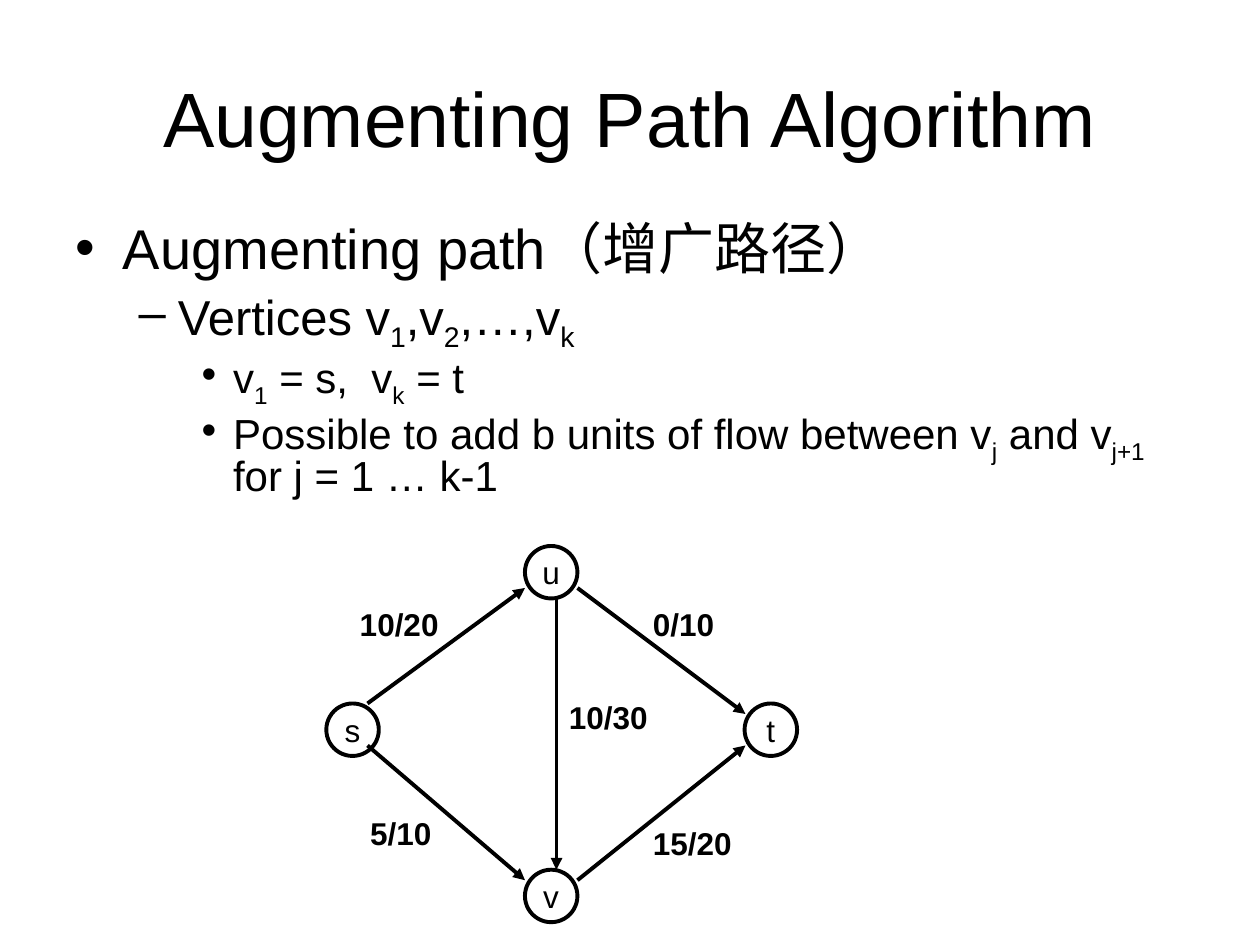
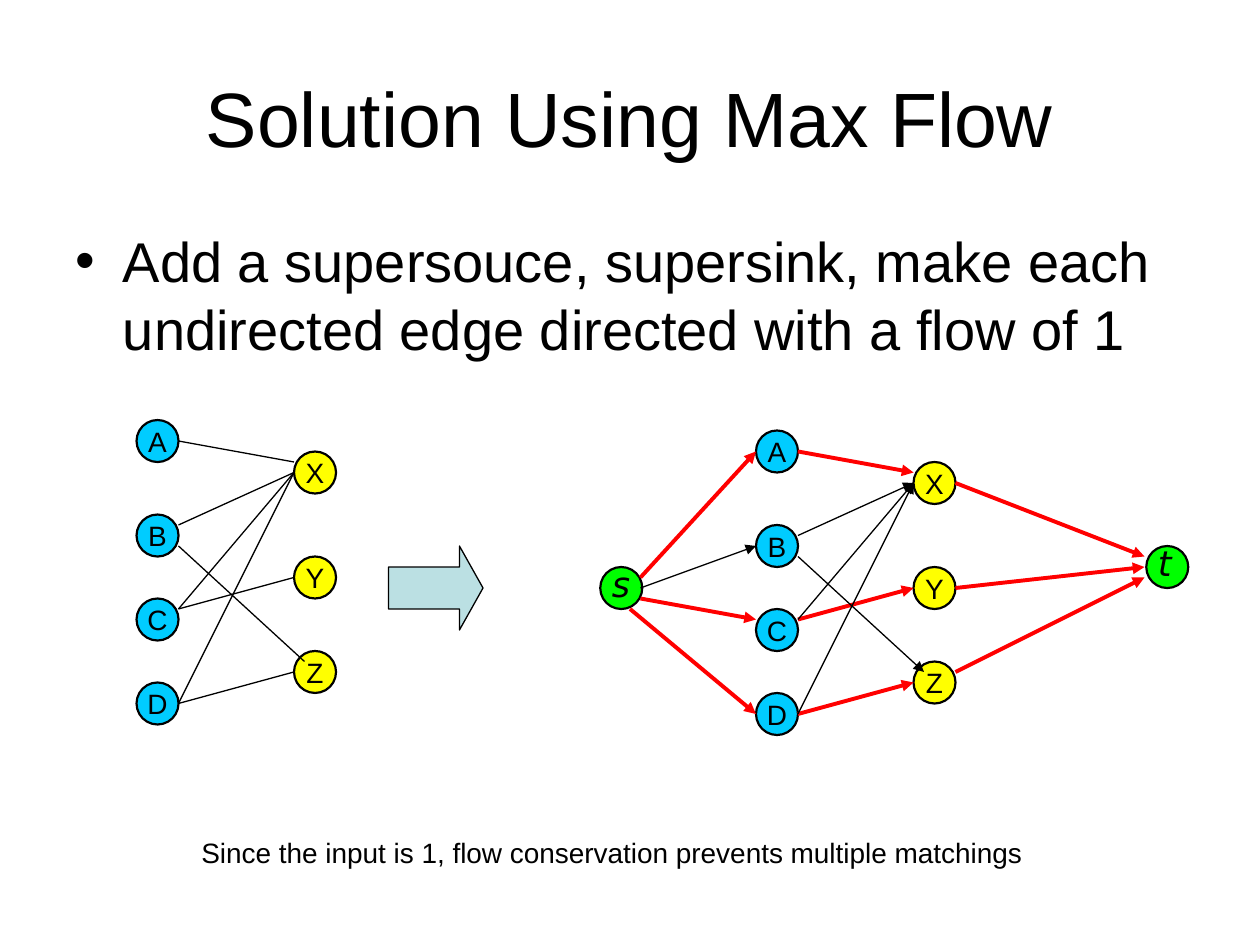
from lxml import etree
from pptx import Presentation
from pptx.dml.color import RGBColor
from pptx.enum.shapes import MSO_CONNECTOR, MSO_SHAPE
from pptx.enum.text import MSO_ANCHOR, MSO_AUTO_SIZE, PP_ALIGN
from pptx.oxml.ns import qn
from pptx.util import Pt

BLACK = RGBColor(0x00, 0x00, 0x00)
RED = RGBColor(0xFF, 0x00, 0x00)
CYAN = RGBColor(0x00, 0xCC, 0xFF)
YELLOW = RGBColor(0xFF, 0xFF, 0x00)
GREEN = RGBColor(0x00, 0xFF, 0x00)
PALE_TEAL = RGBColor(0xBB, 0xE0, 0xE3)

ELLIPSE = MSO_SHAPE.OVAL
RIGHT_ARROW = MSO_SHAPE.RIGHT_ARROW
STRAIGHT = MSO_CONNECTOR.STRAIGHT
CENTER = PP_ALIGN.CENTER
MIDDLE = MSO_ANCHOR.MIDDLE
NO_AUTOFIT = MSO_AUTO_SIZE.NONE

MAIN_FONT = "Arial"
TERMINAL_FONT = "DejaVu Sans"
LEVEL_SIZES = [32, 28, 24]
LEVEL_GAPS = [8, 7, 6]
THIN, OUTLINE, THICK = 0.75, 1.25, 2.25

GROUP_NODES = [
    ("A", 78, 240, CYAN), ("B", 78, 294, CYAN),
    ("C", 78, 342, CYAN), ("D", 78, 390, CYAN),
    ("X", 168, 258, YELLOW), ("Y", 168, 318, YELLOW), ("Z", 168, 372, YELLOW),
]
GROUP_EDGES = [
    (102, 252, 168, 264, True), (102, 300, 168, 270, False),
    (102, 348, 168, 330, True), (102, 402, 168, 384, True),
    (102, 402, 168, 270, False), (102, 312, 174, 378, False),
    (102, 348, 168, 270, False),
]
TERMINAL_EDGES = [
    (366, 330, 432, 258, True), (366, 336, 432, 312, False),
    (366, 342, 432, 354, True), (360, 348, 432, 408, True),
    (546, 276, 654, 318, True), (546, 336, 654, 324, True),
    (546, 384, 654, 330, True),
]


def place(shape, left, top, width, height):
    shape.left, shape.top = Pt(left), Pt(top)
    shape.width, shape.height = Pt(width), Pt(height)


def add_run(paragraph, text, size, font=MAIN_FONT, bold=False, italic=False):
    run = paragraph.add_run()
    run.text = text
    run.font.name = font
    run.font.size = Pt(size)
    run.font.bold = bold
    run.font.italic = italic
    run.font.color.rgb = BLACK
    return run


def add_titled_slide(presentation, title):
    slide = presentation.slides.add_slide(presentation.slide_layouts[1])
    place(slide.shapes.title, 36, 21.6, 648, 90)
    frame = slide.shapes.title.text_frame
    frame.auto_size = NO_AUTOFIT
    frame.vertical_anchor = MIDDLE
    paragraph = frame.paragraphs[0]
    paragraph.alignment = CENTER
    add_run(paragraph, title, 44)
    return slide


def fill_body(slide, items, height, line_spacing):
    body = slide.placeholders[1]
    place(body, 36, 126, 648, height)
    frame = body.text_frame
    frame.auto_size = NO_AUTOFIT
    for index, (level, *pieces) in enumerate(items):
        paragraph = frame.add_paragraph() if index else frame.paragraphs[0]
        paragraph.level = level
        paragraph.line_spacing = line_spacing
        paragraph.space_before = Pt(LEVEL_GAPS[level] if index else 0)
        for position, piece in enumerate(pieces):
            run = add_run(paragraph, piece, LEVEL_SIZES[level])
            if position % 2:
                run._r.get_or_add_rPr().set("baseline", "-25000")


def add_preset(slide, kind, box, fill, line_width):
    shape = slide.shapes.add_shape(kind, *map(Pt, box))
    shape.shadow.inherit = False
    if fill is None:
        shape.fill.background()
    else:
        shape.fill.solid()
        shape.fill.fore_color.rgb = fill
    shape.line.color.rgb = BLACK
    shape.line.width = Pt(line_width)
    return shape


def add_node(slide, name, left, top, diameter, size, fill=None, line_width=OUTLINE):
    box = (left, top, diameter, diameter)
    frame = add_preset(slide, ELLIPSE, box, fill, line_width).text_frame
    frame.word_wrap = False
    frame.vertical_anchor = MIDDLE
    paragraph = frame.paragraphs[0]
    paragraph.alignment = CENTER
    add_run(paragraph, name, size)


def add_edge(slide, start_x, start_y, end_x, end_y, color=BLACK, width=THIN, directed=True):
    ends = map(Pt, (start_x, start_y, end_x, end_y))
    connector = slide.shapes.add_connector(STRAIGHT, *ends)
    connector.line.color.rgb = color
    connector.line.width = Pt(width)
    properties = connector._element.spPr
    if directed:
        line = properties.find(qn("a:ln"))
        etree.SubElement(line, qn("a:tailEnd"), type="triangle")
    etree.SubElement(properties, qn("a:effectLst"))


def add_flow_edge(slide, start_x, start_y, end_x, end_y, used):
    color, width = (RED, THICK) if used else (BLACK, THIN)
    add_edge(slide, start_x, start_y, end_x, end_y, color, width)


def add_label(slide, text, box, size, wrap=False, **style):
    frame = slide.shapes.add_textbox(*map(Pt, box)).text_frame
    frame.word_wrap = wrap
    add_run(frame.paragraphs[0], text, size, **style)


def add_matching(slide, shift_x=0, shift_y=0, directed=False):
    for name, left, top, fill in GROUP_NODES:
        add_node(slide, name, left + shift_x, top + shift_y, 24, 16, fill)
    for start_x, start_y, end_x, end_y, used in GROUP_EDGES:
        ends = (start_x + shift_x, start_y + shift_y, end_x + shift_x, end_y + shift_y)
        if directed:
            add_flow_edge(slide, *ends, used)
        else:
            add_edge(slide, *ends, directed=False)


def add_terminal(slide, name, left, top):
    add_preset(slide, ELLIPSE, (left, top, 24, 24), GREEN, OUTLINE)
    add_label(slide, name, (left - 0.5, top - 6, 23, 32), 20,
              font=TERMINAL_FONT, italic=True)


def build_augmenting_path(presentation):
    slide = add_titled_slide(presentation, "Augmenting Path Algorithm")
    fill_body(slide, [
        (0, "Augmenting path（增广路径）"),
        (1, "Vertices v", "1", ",v", "2", ",…,v", "k"),
        (2, "v", "1", " = s,  v", "k", " = t"),
        (2, "Possible to add b units of flow between v", "j", " and v", "j+1",
         " for j = 1 … k-1"),
    ], 173.5, 0.8)
    for name, left, top in [("u", 300, 312), ("s", 186.5, 402),
                            ("t", 425.5, 402), ("v", 300, 497)]:
        add_node(slide, name, left, top, 30, 18, line_width=THICK)
    for ends in [(210, 402, 300, 336), (210, 426, 300, 503), (318, 342, 318, 497),
                 (330, 336, 426, 408), (330, 503, 426, 426)]:
        add_edge(slide, *ends, width=THICK)
    for text, left, top in [("10/20", 198.5, 342), ("15/20", 366, 467.5),
                            ("10/30", 318, 395.5), ("0/10", 366, 342),
                            ("5/10", 204.5, 461.5)]:
        add_label(slide, text, (left, top, 72, 29), 18, wrap=True, bold=True)


def build_max_flow(presentation):
    slide = add_titled_slide(presentation, "Solution Using Max Flow")
    fill_body(slide, [
        (0, "Add a supersouce, supersink, make each undirected edge directed "
            "with a flow of 1"),
    ], 356.5, 1.0)
    add_matching(slide)
    arrow = add_preset(slide, RIGHT_ARROW, (222, 312, 54, 48), PALE_TEAL, THIN)
    arrow.adjustments[1] = 0.28
    add_matching(slide, 354, 6, directed=True)
    add_terminal(slide, "s", 343, 324)
    add_terminal(slide, "t", 655, 312)
    for edge in TERMINAL_EDGES:
        add_flow_edge(slide, *edge)
    add_label(slide, "Since the input is 1, flow conservation prevents multiple matchings",
              (108, 474, 484, 26.5), 16)


def main():
    presentation = Presentation()
    presentation.slide_width, presentation.slide_height = Pt(720), Pt(540)
    build_augmenting_path(presentation)
    build_max_flow(presentation)
    presentation.save("out.pptx")


if __name__ == "__main__":
    main()
